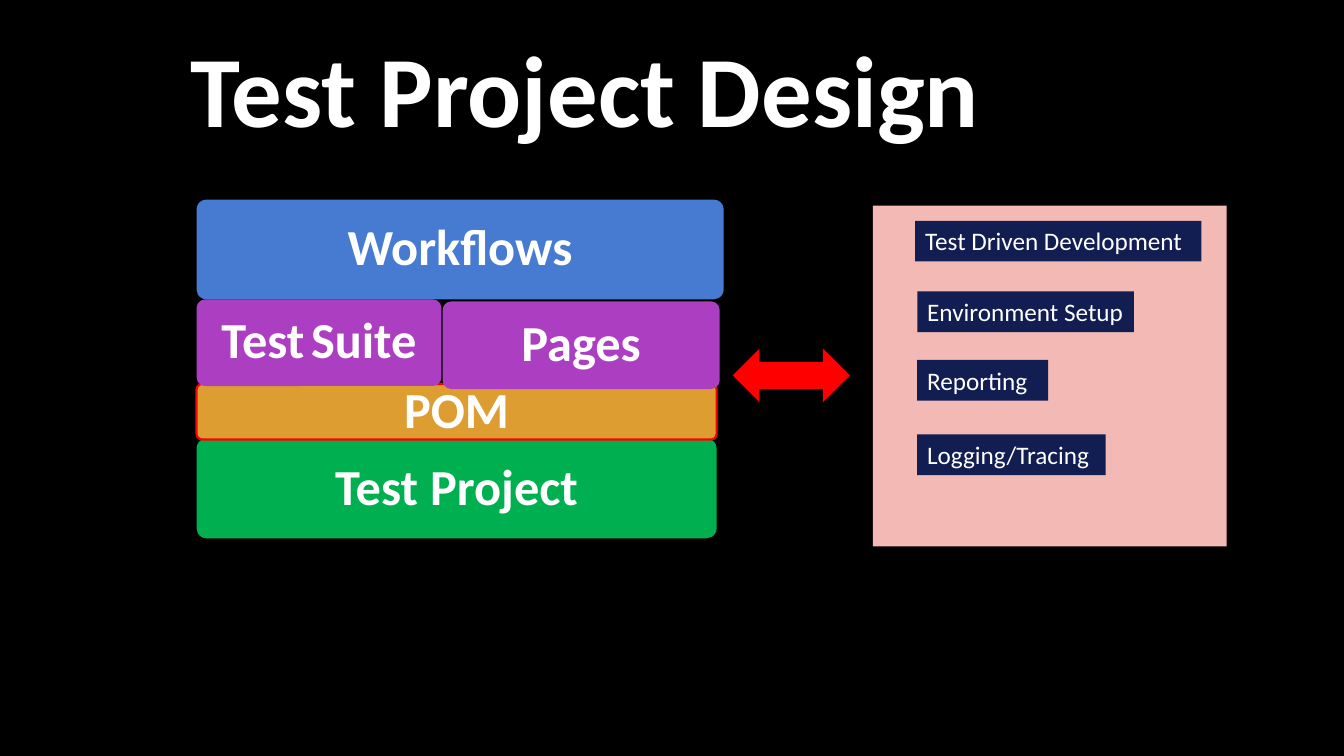
from dataclasses import dataclass

from pptx import Presentation
from pptx.dml.color import RGBColor
from pptx.enum.shapes import MSO_SHAPE
from pptx.enum.text import MSO_ANCHOR, PP_ALIGN
from pptx.util import Inches, Pt

RECTANGLE = MSO_SHAPE.RECTANGLE
ROUNDED = MSO_SHAPE.ROUNDED_RECTANGLE
DOUBLE_ARROW = MSO_SHAPE.LEFT_RIGHT_ARROW
MIDDLE, TOP = MSO_ANCHOR.MIDDLE, MSO_ANCHOR.TOP
CENTER, LEFT = PP_ALIGN.CENTER, PP_ALIGN.LEFT

CELL = Inches(1 / 12)  # the slide is a grid of 160 columns by 90 rows


@dataclass(frozen=True)
class Theme:
    font: str = "Calibri"
    background: str = "000000"
    text: str = "FFFFFF"
    red: str = "FF0000"
    blue: str = "477BD1"
    purple: str = "AC3EC1"
    orange: str = "DD9D31"
    green: str = "00B050"
    pink: str = "F3BAB5"
    navy: str = "121D51"
    title_size: int = 72
    layer_size: int = 36
    label_size: int = 18


THEME = Theme()

TITLE_BOX = (21, 1.56, 97.32, 16.8)
STACK_BOX = (23.4, 23.76, 62.76, 40.32)
ARROW_BOX = (87.24, 41.52, 13.92, 6.36)
PANEL_BOX = (103.92, 24.48, 42.12, 40.56)

# Words, size of the gap between them, fill, outline, box within the stack
LAYERS = [
    (["Test", "Project"], 38, THEME.green, None, (0, 28.44, 61.92, 11.88)),
    (["POM"], None, THEME.orange, THEME.red, (0, 21.96, 61.92, 6.6)),
    (["Workflows"], None, THEME.blue, None, (0, 0, 62.76, 11.88)),
    (["Test", "Suite"], 21, THEME.purple, None, (0, 11.88, 29.16, 10.32)),
    (["Pages"], None, THEME.purple, None, (29.28, 12.12, 33, 10.44)),
]

# Text and box within the panel
LABELS = [
    ("Test Driven Development", (5.04, 1.8, 34.08, 4.85)),
    ("Environment Setup", (5.28, 10.2, 25.8, 4.85)),
    ("Reporting", (5.28, 18.36, 15.6, 4.85)),
    ("Logging/Tracing", (5.28, 27.24, 22.44, 4.85)),
]


def to_lengths(box):
    return [round(value * CELL) for value in box]


def within(outer, inner):
    """Turn a box relative to an outer box into a box on the slide."""
    return (outer[0] + inner[0], outer[1] + inner[1], *inner[2:])


def add_block(slide, kind, box, fill, outline=None):
    shape = slide.shapes.add_shape(kind, *to_lengths(box))
    shape.shadow.inherit = False
    shape.fill.solid()
    shape.fill.fore_color.rgb = RGBColor.from_string(fill)
    if outline:
        shape.line.color.rgb = RGBColor.from_string(outline)
        shape.line.width = Pt(1.5)
    else:
        shape.line.fill.background()
    return shape


def style_paragraph(paragraph, size, alignment, bold=False):
    paragraph.alignment = alignment
    font = paragraph.font
    font.name, font.size, font.bold = THEME.font, Pt(size), bold
    font.color.rgb = RGBColor.from_string(THEME.text)


def add_title(slide, box):
    frame = slide.shapes.add_textbox(*to_lengths(box)).text_frame
    frame.word_wrap = True
    paragraph = frame.paragraphs[0]
    paragraph.text = "Test Project Design"
    paragraph.line_spacing = 1.07
    paragraph.space_after = Pt(8)
    style_paragraph(paragraph, THEME.title_size, CENTER, bold=True)


def add_stack(slide, box):
    for words, gap_size, fill, outline, layer_box in LAYERS:
        shape = add_block(slide, ROUNDED, within(box, layer_box), fill, outline)
        shape.adjustments[0] = 0.1
        frame = shape.text_frame
        frame.word_wrap = True
        frame.vertical_anchor = MIDDLE
        frame.margin_left = frame.margin_right = Inches(0.15)
        frame.margin_top = frame.margin_bottom = Inches(0.15)
        paragraph = frame.paragraphs[0]
        paragraph.line_spacing = 0.9
        style_paragraph(paragraph, THEME.layer_size, CENTER, bold=True)
        for index, word in enumerate(words):
            if index:
                gap = paragraph.add_run()
                gap.text = " "
                gap.font.size, gap.font.bold = Pt(gap_size), False
            paragraph.add_run().text = word


def add_panel(slide, box):
    add_block(slide, RECTANGLE, box, THEME.pink)
    for text, label_box in LABELS:
        shape = add_block(slide, RECTANGLE, within(box, label_box), THEME.navy)
        frame = shape.text_frame
        frame.word_wrap = False
        frame.vertical_anchor = TOP
        paragraph = frame.paragraphs[0]
        paragraph.text = text
        style_paragraph(paragraph, THEME.label_size, LEFT)


def main():
    presentation = Presentation()
    presentation.slide_width = 160 * CELL
    presentation.slide_height = 90 * CELL
    slide = presentation.slides.add_slide(presentation.slide_layouts[6])
    slide.background.fill.solid()
    slide.background.fill.fore_color.rgb = RGBColor.from_string(THEME.background)
    add_title(slide, TITLE_BOX)
    add_stack(slide, STACK_BOX)
    add_panel(slide, PANEL_BOX)
    add_block(slide, DOUBLE_ARROW, ARROW_BOX, THEME.red)
    presentation.save("out.pptx")


if __name__ == "__main__":
    main()
